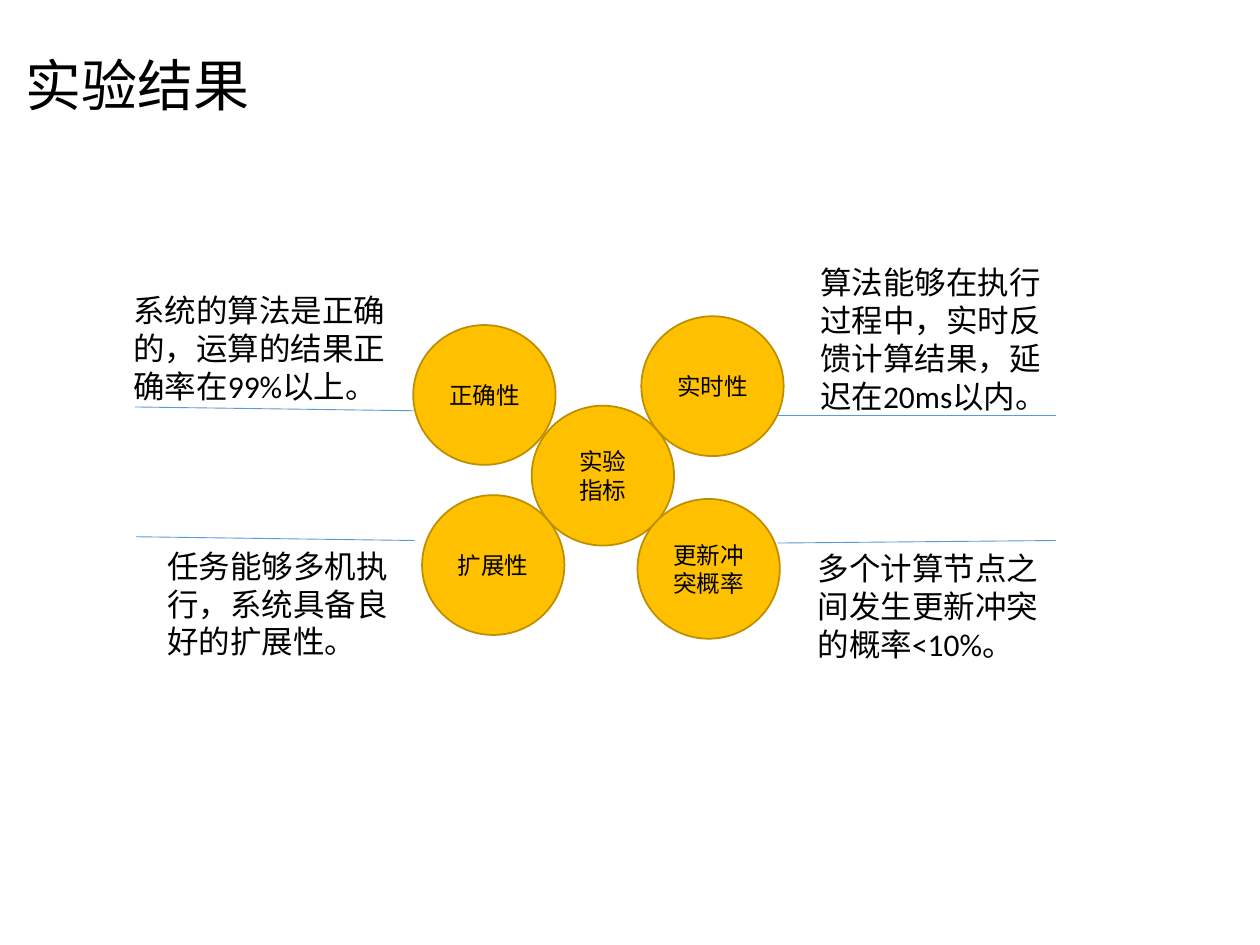
import dataclasses

import pptx
import pptx.dml.color
import pptx.enum.shapes
import pptx.enum.text
import pptx.oxml
import pptx.oxml.ns
import pptx.util

PX = 9144
DISC_WIDTH, DISC_HEIGHT = 113, 111
ALIGN = pptx.enum.text.PP_ALIGN
ANCHOR = pptx.enum.text.MSO_ANCHOR


@dataclasses.dataclass(frozen=True)
class Theme:
    """Colours, font and type sizes of the deck."""

    ink: str = "000000"
    disc: str = "FFC000"
    rim: str = "BD8E00"
    rule: str = "5B9BD5"
    font: str = "Calibri"
    title: float = 32
    label: float = 13.5
    note: float = 18


THEME = Theme()


def px(*lengths):
    """Turn px lengths into EMU."""
    return [pptx.util.Emu(length * PX) for length in lengths]


def color(value):
    """Turn a hex string into a colour."""
    return pptx.dml.color.RGBColor.from_string(value)


def write(frame, text, size, align=ALIGN.LEFT, anchor=ANCHOR.TOP, spacing=None):
    """Fill a text frame, one paragraph for each line of text."""
    frame.word_wrap = True
    frame.auto_size = pptx.enum.text.MSO_AUTO_SIZE.NONE
    frame.vertical_anchor = anchor
    frame.text = text
    for para in frame.paragraphs:
        para.alignment = align
        para.line_spacing = spacing
        for span in para.runs:
            span.font.name = THEME.font
            span.font.size = pptx.util.Pt(size)
            span.font.color.rgb = color(THEME.ink)


def add_title(page, box, text):
    """Place the title placeholder in its box."""
    title = page.shapes.title
    title.left, title.top, title.width, title.height = px(*box)
    write(title.text_frame, text, THEME.title, anchor=ANCHOR.MIDDLE, spacing=0.9)


def add_disc(page, left, top, text):
    """Place one labelled disc."""
    disc = page.shapes.add_shape(
        pptx.enum.shapes.MSO_SHAPE.FLOWCHART_CONNECTOR,
        *px(left, top, DISC_WIDTH, DISC_HEIGHT),
    )
    disc.shadow.inherit = False
    disc.fill.solid()
    disc.fill.fore_color.rgb = color(THEME.disc)
    disc.line.color.rgb = color(THEME.rim)
    disc.line.width = pptx.util.Pt(1)
    write(disc.text_frame, text, THEME.label, align=ALIGN.CENTER, anchor=ANCHOR.MIDDLE)


def add_rule(page, start, end):
    """Draw a thin rule between two points."""
    rule = page.shapes.add_connector(
        pptx.enum.shapes.MSO_CONNECTOR.STRAIGHT, *px(*start, *end)
    )
    rule.line.color.rgb = color(THEME.rule)
    rule.line.width = pptx.util.Pt(0.5)
    properties = rule._element.spPr
    properties.append(pptx.oxml.parse_xml(
        f"<a:effectLst {pptx.oxml.ns.nsdecls('a')}/>"
    ))


def add_callout(page, left, top, label, text, note, start, end):
    """Place a disc with its note and rule, both relative to the disc corner."""
    add_disc(page, left, top, label)
    x, y, width, height = note
    box = page.shapes.add_textbox(*px(left + x, top + y, width, height))
    write(box.text_frame, text, THEME.note)
    add_rule(page, *[(left + x, top + y) for x, y in (start, end)])


def main():
    """Build the deck and save it."""
    deck = pptx.Presentation()
    deck.slide_width, deck.slide_height = px(1000, 750)
    page = deck.slides.add_slide(deck.slide_layouts[5])
    add_title(page, (10, 43, 862, 54), "实验结果")
    add_disc(page, 422, 322, "实验\n指标")
    callouts = [
        (509, 251, "实时性", "算法能够在执行过程中，实时反馈计算结果，延迟在20ms以内。",
         (132, -47, 211, 131), (329, 79), (108, 79)),
        (506, 396, "更新冲突概率", "多个计算节点之间发生更新冲突的概率<10%。",
         (133, 35, 213, 101), (332, 33), (111, 35)),
        (328, 258, "正确性", "系统的算法是正确的，运算的结果正确率在99%以上。",
         (-232, -32, 241, 101), (0, 68), (-221, 65)),
        (335, 393, "扩展性", "任务能够多机执行，系统具备良好的扩展性。",
         (-212, 36, 213, 101), (-6, 36), (-227, 33)),
    ]
    for callout in callouts:
        add_callout(page, *callout)
    deck.save("out.pptx")


if __name__ == "__main__":
    main()
